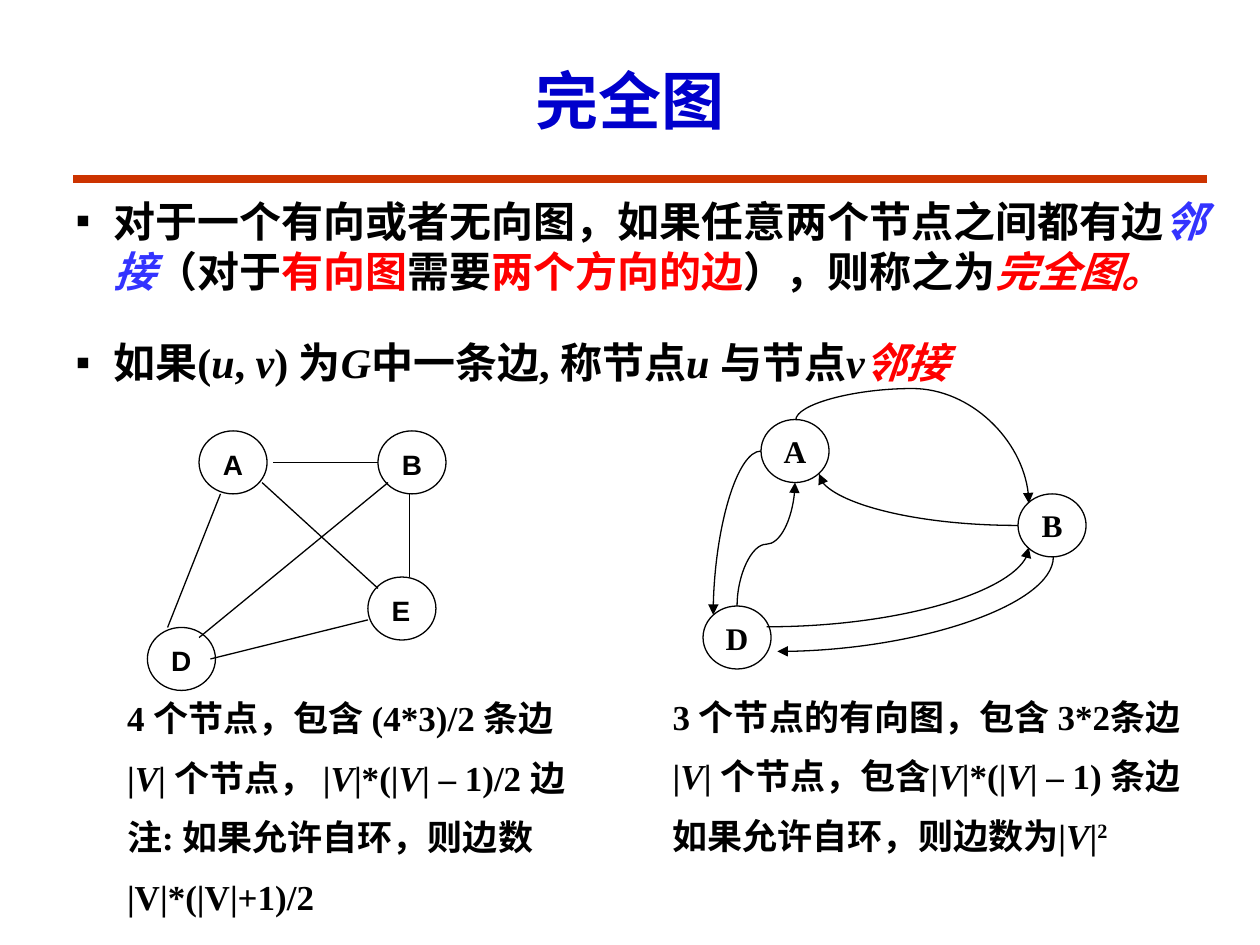
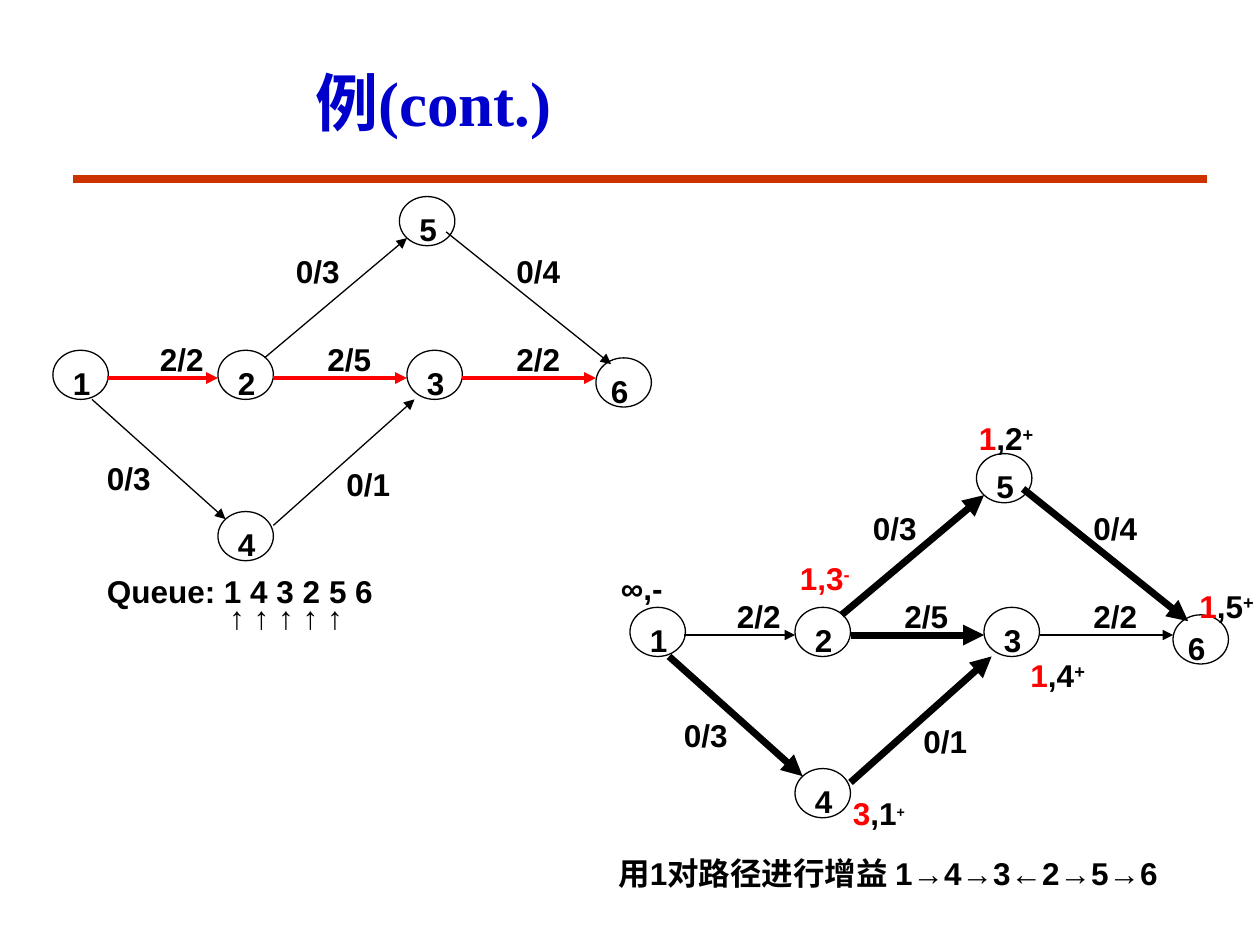
import pptx
import pptx.util
import pptx.dml.color
import pptx.enum.shapes
import pptx.enum.text
import pptx.oxml.ns
from lxml import etree

Inches, Pt = pptx.util.Inches, pptx.util.Pt
qn = pptx.oxml.ns.qn
ALIGN = pptx.enum.text.PP_ALIGN
ANCHOR = pptx.enum.text.MSO_ANCHOR
CONNECTOR = pptx.enum.shapes.MSO_CONNECTOR
OVAL = pptx.enum.shapes.MSO_SHAPE.OVAL
COLORS = {"black": "000000", "red": "FF0000", "blue": "3333FF",
          "title": "0000CC", "rule": "CC3300"}
SERIF, SANS = "Times New Roman", "Arial"


def write(shape, paragraphs, size, font, color="black", align=ALIGN.LEFT,
          gap=0, anchor=ANCHOR.TOP, wrap=True, bullet=None):
    """Fill a shape; a run is a string or (string, "colour italic super")."""
    frame = shape.text_frame
    frame.auto_size = pptx.enum.text.MSO_AUTO_SIZE.NONE
    frame.word_wrap = wrap
    frame.vertical_anchor = anchor
    for number, runs in enumerate(paragraphs):
        paragraph = frame.add_paragraph() if number else frame.paragraphs[0]
        paragraph.alignment = align
        paragraph.space_before = Pt(gap if number else 0)
        if bullet:
            properties = paragraph._p.get_or_add_pPr()
            properties.set("marL", str(Inches(0.3)))
            properties.set("indent", str(Inches(-0.3)))
            etree.SubElement(properties, qn("a:buChar")).set("char", bullet)
        paragraph.font.size = Pt(size)
        paragraph.font.name = font
        paragraph.font.bold = True
        for part in runs:
            words, style = (part, "") if isinstance(part, str) else part
            marks = style.split()
            run = paragraph.add_run()
            run.text = words
            tint = next((mark for mark in marks if mark in COLORS), color)
            run.font.color.rgb = pptx.dml.color.RGBColor.from_string(COLORS[tint])
            if "italic" in marks:
                run.font.italic = True
            if "super" in marks:
                run.font._element.set("baseline", "30000")
            if "small" in marks:
                run.font.size = Pt(14)


def edge(slide, start, end, width=0.75, color="black", arrow=None,
         kind=CONNECTOR.STRAIGHT):
    """Draw a connector; arrow is None, "headEnd" or "tailEnd"."""
    connector = slide.shapes.add_connector(
        kind, *[Inches(value) for value in (*start, *end)])
    connector.line.width = Pt(width)
    connector.line.color.rgb = pptx.dml.color.RGBColor.from_string(COLORS[color])
    properties = connector._element.spPr
    if arrow:
        etree.SubElement(properties.find(qn("a:ln")), qn(f"a:{arrow}")).set(
            "type", "triangle")
    etree.SubElement(properties, qn("a:effectLst"))
    return connector


prs = pptx.Presentation()
prs.slide_width, prs.slide_height = Inches(10), Inches(7.5)
complete = prs.slides.add_slide(prs.slide_layouts[1])
example = prs.slides.add_slide(prs.slide_layouts[5])

# Shared rule, moved to the master
rule = edge(complete, (0.58, 1.42), (9.58, 1.42), 4.5, "rule")
prs.slide_master.shapes.element.append(rule._element)

# Titles
for slide, heading, box in [(complete, "完全图", (0.75, 0.25, 8.5, 1.08)),
                            (example, "例(cont.)", (0.98, 0.44, 4.92, 0.73))]:
    title = slide.shapes.title
    title.left, title.top, title.width, title.height = map(Inches, box)
    write(title, [[heading]], 36, SERIF, "title", ALIGN.CENTER,
          anchor=ANCHOR.MIDDLE)

# Slide 1: definitions
definitions = complete.placeholders[1]
definitions.left, definitions.top = Inches(0.5), Inches(1.5)
definitions.width, definitions.height = Inches(9.22), Inches(1.84)
write(definitions, [
    ["对于一个有向或者无向图，如果任意两个节点之间都有边",
     ("邻接", "blue italic"), "（对于", ("有向图", "red"), "需要",
     ("两个方向的边", "red"), "），则称之为", ("完全图。", "red italic")],
    ["如果(", ("u", "italic"), ", ", ("v", "italic"), ") 为", ("G", "italic"),
     "中一条边, 称节点", ("u ", "italic"), "与节点", ("v", "italic"),
     ("邻接", "red italic")],
], 24, SERIF, gap=23, bullet="▪")

# Slide 1: undirected complete graph
for name, x, y in [("A", 1.58, 3.42), ("B", 3, 3.42),
                   ("D", 1.17, 4.98), ("E", 2.92, 4.58)]:
    node = complete.shapes.add_shape(
        OVAL, Inches(x), Inches(y), Inches(0.54), Inches(0.5))
    node.shadow.inherit = False
    node.fill.background()
    node.line.width = Pt(0.75)
    node.line.color.rgb = pptx.dml.color.RGBColor.from_string(COLORS["black"])
    caption = complete.shapes.add_textbox(
        Inches(x + 0.09), Inches(y + 0.08), Inches(0.35), Inches(0.37))
    write(caption, [[name]], 16, SANS, wrap=False)
for start, end in [((2.17, 3.67), (3, 3.67)), ((2.08, 3.83), (3, 4.67)),
                   ((3.25, 4.58), (3.25, 3.92)), ((1.67, 5.23), (2.92, 4.92)),
                   ((1.33, 4.98), (1.75, 3.92)), ((1.58, 5.06), (3.08, 3.83))]:
    edge(complete, start, end)

# Slide 1: directed complete graph
for name, x, y in [("A", 6.04, 3.33), ("B", 8.08, 3.92), ("D", 5.58, 4.81)]:
    node = complete.shapes.add_shape(
        OVAL, Inches(x), Inches(y), Inches(0.54), Inches(0.5))
    node.shadow.inherit = False
    node.fill.background()
    node.line.width = Pt(0.75)
    node.line.color.rgb = pptx.dml.color.RGBColor.from_string(COLORS["black"])
    write(node, [[name]], 18, SERIF, align=ALIGN.CENTER,
          anchor=ANCHOR.MIDDLE, wrap=False)

# Curves: box before rotation, degrees, flips, preset, bend, arrow
for (x, y, w, h), turn, flips, preset, bend, arrow in [
        ((6.91, 2.74, 0.66, 1.85), 270, "H", 3, -38100, "tailEnd"),
        ((6.5, 3.76, 1.58, 0.41), 180, "", 2, None, "tailEnd"),
        ((5.66, 3.58, 0.38, 1.3), 180, "V", 2, None, "tailEnd"),
        ((5.59, 4.09, 0.98, 0.46), 90, "HV", 3, 50000, "tailEnd"),
        ((6.89, 3.7, 0.75, 2.19), 90, "", 2, None, "tailEnd"),
        ((6.81, 3.62, 0.63, 2.08), 90, "", 2, None, "headEnd")]:
    arc = edge(complete, (x, y), (x + w, y + h), arrow=arrow,
               kind=CONNECTOR.CURVE)
    frame = arc._element.spPr.find(qn("a:xfrm"))
    frame.set("rot", str(turn * 60000))
    for flip in flips:
        frame.set(f"flip{flip}", "1")
    geometry = arc._element.spPr.find(qn("a:prstGeom"))
    geometry.set("prst", f"curvedConnector{preset}")
    if bend is not None:
        guide = etree.SubElement(geometry.find(qn("a:avLst")), qn("a:gd"))
        guide.set("name", "adj1")
        guide.set("fmla", f"val {bend}")

# Slide 1: edge counts
V = ("V", "italic")
for box, align, counts in [
        ((0.91, 5.48, 4.02, 1.95), ALIGN.JUSTIFY, [
            ["4 个节点，包含 (4*3)/2 条边"],
            ["|", V, "| 个节点， |", V, "|*(|", V, "| – 1)/2 边"],
            ["注: 如果允许自环，则边数"],
            ["|V|*(|V|+1)/2"]]),
        ((5.24, 5.47, 4.49, 1.45), ALIGN.LEFT, [
            ["3 个节点的有向图，包含 3*2条边"],
            ["|", V, "| 个节点，包含|", V, "|*(|", V, "| – 1) 条边"],
            ["如果允许自环，则边数为|", V, "|", ("2", "super")]])]:
    write(complete.shapes.add_textbox(*map(Inches, box)), counts, 20, SERIF,
          align=align, gap=10)

# Slide 2: the same network twice, with different edges stressed
nodes = {1: (0.42, 2.78), 2: (1.73, 2.78), 3: (3.23, 2.78),
         4: (1.73, 4.06), 5: (3.17, 1.56), 6: (4.73, 2.84)}
# Edge: start, end, flow label, label position
flows = {(1, 4): ((0.73, 3.17), (1.79, 4.12), "0/3", (0.75, 3.59)),
         (1, 2): ((0.85, 3), (1.73, 3), "2/2", (1.17, 2.65)),
         (2, 5): ((2.1, 2.84), (3.23, 1.89), "0/3", (2.25, 1.95)),
         (2, 3): ((2.17, 3), (3.23, 3), "2/5", (2.5, 2.65)),
         (4, 3): ((2.17, 4.17), (3.29, 3.17), "0/1", (2.65, 3.64)),
         (3, 6): ((3.67, 3), (4.73, 3), "2/2", (4, 2.65)),
         (5, 6): ((3.54, 1.84), (4.85, 2.89), "0/4", (4, 1.95))}
for dx, dy, stressed, width, color in [
        (0, 0, [(1, 2), (2, 3), (3, 6)], 2.25, "red"),
        (4.58, 2.04, [(1, 4), (2, 5), (2, 3), (4, 3), (5, 6)], 4, "black")]:
    for number, (x, y) in nodes.items():
        node = example.shapes.add_shape(
            OVAL, Inches(x + dx), Inches(y + dy), Inches(0.44), Inches(0.39))
        node.shadow.inherit = False
        node.fill.background()
        node.line.width = Pt(0.75)
        node.line.color.rgb = pptx.dml.color.RGBColor.from_string(COLORS["black"])
        indent = 0.02 if number == 6 else 0.06
        caption = example.shapes.add_textbox(
            Inches(x + dx + indent), Inches(y + dy + 0.06),
            Inches(0.34), Inches(0.4))
        write(caption, [[str(number)]], 18, SANS, wrap=False)
    for pair, ((x1, y1), (x2, y2), flow, (x, y)) in flows.items():
        look = (width, color) if pair in stressed else (0.75, "black")
        edge(example, (x1 + dx, y1 + dy), (x2 + dx, y2 + dy), *look,
             arrow="tailEnd")
        caption = example.shapes.add_textbox(
            Inches(x + dx), Inches(y + dy), Inches(0.55), Inches(0.4))
        write(caption, [[flow]], 18, SANS, wrap=False)

# Slide 2: node marks, queue and augmenting path
for x, y, w, runs in [
        (4.83, 4.47, 0.7, ["∞,-"]),
        (6.25, 4.39, 0.75, [("1,3", "red"), ("-", "red super")]),
        (7.67, 3.28, 0.68, [("1", "red"), ",2", ("+", "super")]),
        (9.42, 4.61, 0.69, [("1", "red"), ",5", ("+", "super")]),
        (8.08, 5.16, 0.89, [("1", "red"), ",4", ("+", "super")]),
        (6.67, 6.25, 1, [("3", "red"), ",1", ("+", "super small")]),
        (4.81, 6.73, 4.67, ["用1对路径进行增益 1→4→3←2→5→6"]),
        (0.75, 4.49, 2.42, ["Queue: 1 4 3 2 5 6"]),
        (1.72, 4.7, 1.45, ["↑ ↑ ↑ ↑ ↑"])]:
    mark = example.shapes.add_textbox(
        Inches(x), Inches(y), Inches(w), Inches(0.4))
    write(mark, [runs], 18, SANS)

prs.save("out.pptx")
